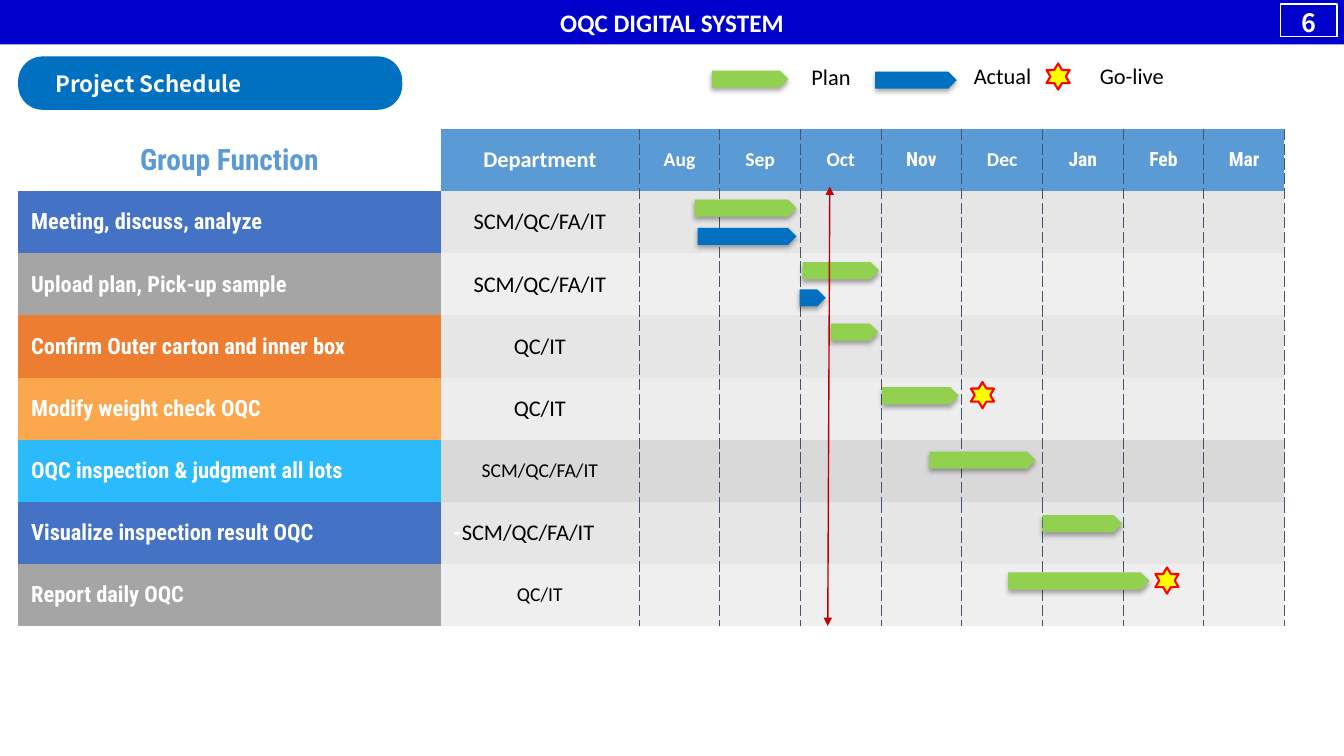
from dataclasses import dataclass

from lxml.etree import SubElement
from pptx import Presentation
from pptx.dml.color import RGBColor
from pptx.enum.shapes import MSO_CONNECTOR, MSO_SHAPE as Preset
from pptx.enum.text import MSO_ANCHOR as Anchor, MSO_AUTO_SIZE as AutoSize, PP_ALIGN as Align
from pptx.oxml import parse_xml
from pptx.oxml.ns import nsdecls, qn
from pptx.util import Inches, Pt


@dataclass(frozen=True)
class Theme:
    body: str = "Calibri"
    label: str = "Roboto Condensed"
    heading: str = "Noto Sans CJK JP"
    white: str = "FFFFFF"
    black: str = "000000"
    banner: str = "0000CC"
    plan: str = "92D050"
    actual: str = "0070C0"
    star: str = "FFFF00"
    star_edge: str = "FF0000"
    today: str = "C00000"
    header: str = "5B9BD5"
    grid: str = "44546A"
    blue: str = "4472C4"
    gray: str = "A5A5A5"
    orange: str = "ED7D31"
    amber: str = "FAA74D"
    sky: str = "2BBAFC"
    band_dark: str = "E7E6E6"
    band_light: str = "EFEFEF"
    band_soft: str = "EDEDED"
    band_deep: str = "D9D9D9"
    group_size: int = 21
    title_size: int = 18
    text_size: int = 16
    small_size: int = 14


THEME = Theme()
NO_TABLE_STYLE = "{2D5ABB26-0587-4C30-8999-92F81FD0307C}"
MONTHS = ["Aug", "Sep", "Oct", "Nov", "Dec", "Jan", "Feb", "Mar"]
CONDENSED_MONTHS = {"Nov", "Jan", "Feb", "Mar"}
COLUMN_WIDTHS = [4.19, 1.97] + [0.8] * len(MONTHS)
ROW_HEIGHT = 3.7 / 6
TABLE_LEFT, TABLE_TOP = 0.18, 1.28
BAR_HEIGHT = 0.17

# task, task colour, department, department size, band colour
TASKS = [
    ("Meeting, discuss, analyze", THEME.blue, "SCM/QC/FA/IT", THEME.text_size, THEME.band_dark),
    ("Upload plan, Pick-up sample", THEME.gray, "SCM/QC/FA/IT", THEME.text_size, THEME.band_light),
    ("Confirm Outer carton and inner box", THEME.orange, "QC/IT", THEME.text_size, THEME.band_dark),
    ("Modify weight check OQC", THEME.amber, "QC/IT", THEME.text_size, THEME.band_soft),
    ("OQC inspection & judgment all lots", THEME.sky, "SCM/QC/FA/IT", THEME.small_size, THEME.band_deep),
    ("Visualize inspection result OQC", THEME.blue, "-SCM/QC/FA/IT", THEME.text_size, THEME.band_dark),
    ("Report daily OQC", THEME.gray, "QC/IT", THEME.small_size, THEME.band_light),
]
FIRST_TABLE_TASKS = 5

# left, top, width; the first bar of each list belongs to the legend
PLAN_BARS = [(7.06, 0.7, 0.76), (6.89, 1.98, 1.01), (7.96, 2.6, 0.76), (8.24, 3.21, 0.47),
             (8.75, 3.84, 0.76), (9.22, 4.48, 1.05), (10.34, 5.11, 0.79), (10, 5.68, 1.4)]
ACTUAL_BARS = [(8.68, 0.71, 0.81), (6.92, 2.26, 0.98), (7.93, 2.87, 0.26)]
GO_LIVE_STARS = [(10.38, 0.63), (9.63, 3.79), (11.46, 5.63)]
LEGEND = [("Plan", 7.95, 0.58, 0.59), ("Actual", 9.56, 0.57, 0.78), ("Go-live", 10.81, 0.57, 0.84)]


def rgb(color):
    return RGBColor.from_string(color)


def add_shadow(effects, blur, distance, angle, opacity):
    """Put an outer black shadow, measured in points and degrees, in an effect list."""
    effects.append(parse_xml(
        f'<a:outerShdw {nsdecls("a")} blurRad="{Pt(blur)}" dist="{Pt(distance)}" '
        f'dir="{angle * 60000}" algn="ctr" rotWithShape="0"><a:srgbClr val="{THEME.black}">'
        f'<a:alpha val="{opacity * 1000}"/></a:srgbClr></a:outerShdw>'))


class ScheduleSlide:
    def __init__(self, slide, theme):
        self.slide = slide
        self.theme = theme

    def style(self, font, face, size, color, bold=False):
        font.name, font.size, font.bold = face, Pt(size), bold
        font.color.rgb = rgb(color)

    def shape(self, preset, left, top, width, height, fill=None, line=None, line_width=1):
        shape = self.slide.shapes.add_shape(
            preset, Inches(left), Inches(top), Inches(width), Inches(height))
        shape.shadow.inherit = False
        if fill:
            shape.fill.solid()
            shape.fill.fore_color.rgb = rgb(fill)
        else:
            shape.fill.background()
        if line:
            shape.line.color.rgb = rgb(line)
            shape.line.width = Pt(line_width)
        else:
            shape.line.fill.background()
        return shape

    def caption(self, shape, text, face, size, align=Align.CENTER):
        frame = shape.text_frame
        frame.vertical_anchor = Anchor.MIDDLE
        paragraph = frame.paragraphs[0]
        paragraph.text, paragraph.alignment = text, align
        self.style(paragraph.font, face, size, self.theme.white, True)

    def text(self, text, left, top, width):
        frame = self.slide.shapes.add_textbox(
            Inches(left), Inches(top), Inches(width), Inches(0.37)).text_frame
        frame.word_wrap, frame.auto_size = False, AutoSize.SHAPE_TO_FIT_TEXT
        frame.text = text
        self.style(frame.paragraphs[0].font, self.theme.body, self.theme.text_size, self.theme.black)

    def bar(self, left, top, width, color):
        bar = self.shape(Preset.PENTAGON, left, top, width, BAR_HEIGHT, color)
        add_shadow(bar._element.spPr.find(qn("a:effectLst")), 3.5, 2.2, 90, 32)

    def star(self, left, top):
        self.shape(Preset.STAR_6_POINT, left, top, 0.23, 0.26,
                   self.theme.star, self.theme.star_edge, 1.5)

    def arrow(self, x1, y1, x2, y2):
        arrow = self.slide.shapes.add_connector(
            MSO_CONNECTOR.STRAIGHT, Inches(x1), Inches(y1), Inches(x2), Inches(y2))
        arrow.line.color.rgb = rgb(self.theme.today)
        arrow.line.width = Pt(1)
        for end in ("a:headEnd", "a:tailEnd"):
            SubElement(arrow.line._get_or_add_ln(), qn(end), type="triangle")
        SubElement(arrow._element.spPr, qn("a:effectLst"))

    def table(self, top, row_count):
        table = self.slide.shapes.add_table(
            row_count, len(COLUMN_WIDTHS), Inches(TABLE_LEFT), Inches(top),
            Inches(sum(COLUMN_WIDTHS)), Inches(ROW_HEIGHT * row_count)).table
        table.first_row = table.horz_banding = False
        table._tbl.tblPr.find(qn("a:tableStyleId")).text = NO_TABLE_STYLE
        for column, width in zip(table.columns, COLUMN_WIDTHS):
            column.width = Inches(width)
        for row in table.rows:
            row.height = Inches(ROW_HEIGHT)
            for index, cell in enumerate(row.cells):
                sides = ("L", "R") if index > 1 else ("R",) * index
                for side in sides:
                    cell._tc.get_or_add_tcPr().append(parse_xml(
                        f'<a:ln{side} {nsdecls("a")} w="{Pt(0.75)}"><a:solidFill>'
                        f'<a:srgbClr val="{self.theme.grid}"/></a:solidFill>'
                        f'<a:prstDash val="dash"/></a:ln{side}>'))
        return table

    def cell(self, cell, fill, text="", face=None, size=None, color=None, bold=True, align=Align.CENTER):
        if fill:
            cell.fill.solid()
            cell.fill.fore_color.rgb = rgb(fill)
        else:
            cell.fill.background()
        if not text:
            return
        cell.vertical_anchor = Anchor.MIDDLE
        cell.margin_left = cell.margin_right = cell.margin_top = cell.margin_bottom = Inches(0.13)
        paragraph = cell.text_frame.paragraphs[0]
        paragraph.alignment = align
        if text.startswith("-"):
            dash, text = paragraph.add_run(), text[1:]
            dash.text = "-"
            self.style(dash.font, self.theme.label, size, self.theme.white, True)
            paragraph.alignment = Align.LEFT
            run = paragraph.add_run()
            run.text = text
            self.style(run.font, face, size, color, bold)
        else:
            paragraph.text = text
            self.style(paragraph.font, face, size, color, bold)

    def header_row(self, cells):
        t = self.theme
        self.cell(cells[0], None, "Group Function", t.label, t.group_size, t.header)
        self.cell(cells[1], t.header, "Department", t.body, t.text_size, t.white)
        for cell, month in zip(cells[2:], MONTHS):
            face = t.label if month in CONDENSED_MONTHS else t.body
            self.cell(cell, t.header, month, face, t.small_size, t.white)

    def task_row(self, cells, task, color, department, size, band):
        t = self.theme
        self.cell(cells[0], color, task, t.label, t.text_size, t.white, align=Align.LEFT)
        self.cell(cells[1], band, department, t.body, size, t.black, False)
        for cell in cells[2:]:
            self.cell(cell, band)


def main():
    deck = Presentation()
    deck.slide_width, deck.slide_height = Inches(13.33), Inches(7.5)
    page = ScheduleSlide(deck.slides.add_slide(deck.slide_layouts[6]), THEME)

    banner = page.shape(Preset.RECTANGLE, 0, 0, 13.33, 0.44, THEME.banner)
    page.caption(banner, "OQC DIGITAL SYSTEM", THEME.body, THEME.title_size)
    page_number = page.shape(Preset.RECTANGLE, 12.7, 0.04, 0.56, 0.32, line=THEME.white)
    page_number.text_frame.margin_bottom = 0
    page.caption(page_number, "6", THEME.heading, THEME.title_size)

    heading = page.shape(Preset.ROUNDED_RECTANGLE, 0.18, 0.56, 3.81, 0.53, THEME.actual)
    heading.adjustments[0] = 0.46
    heading.text_frame.margin_left = Inches(0.3)
    page.caption(heading, "Project Schedule", THEME.heading, THEME.text_size, Align.LEFT)
    heading_run = heading.text_frame.paragraphs[0].runs[0]
    add_shadow(SubElement(heading_run._r.get_or_add_rPr(), qn("a:effectLst")), 3, 3, 45, 45)

    for name, left, top, width in LEGEND:
        page.text(name, left, top, width)

    upper = page.table(TABLE_TOP, FIRST_TABLE_TASKS + 1)
    lower = page.table(TABLE_TOP + ROW_HEIGHT * (FIRST_TABLE_TASKS + 1), len(TASKS) - FIRST_TABLE_TASKS)
    header, *task_rows = [list(row.cells) for table in (upper, lower) for row in table.rows]
    page.header_row(header)
    for cells, task in zip(task_rows, TASKS):
        page.task_row(cells, *task)

    for bars, color in ((PLAN_BARS, THEME.plan), (ACTUAL_BARS, THEME.actual)):
        for bar in bars:
            page.bar(*bar, color)
    for star in GO_LIVE_STARS:
        page.star(*star)
    page.arrow(8.23, 1.85, 8.21, 6.21)
    deck.save("out.pptx")


if __name__ == "__main__":
    main()
